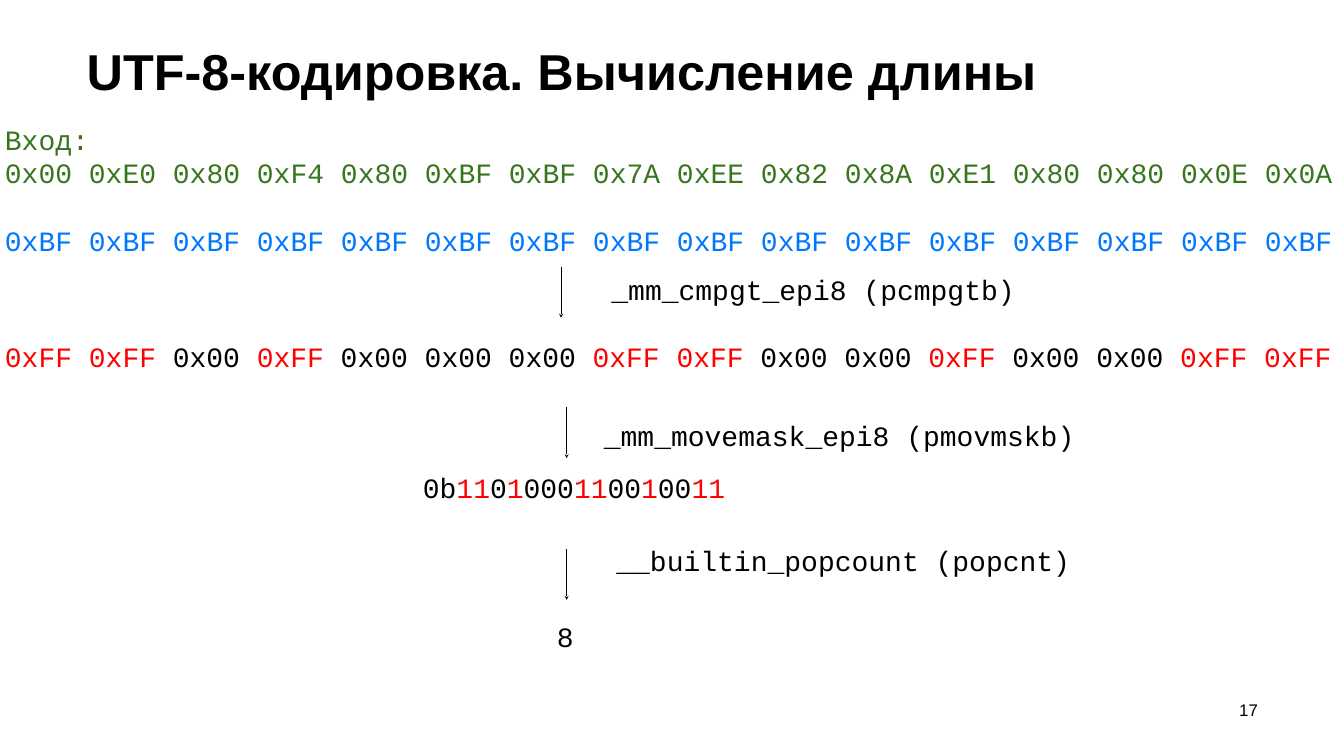
"""Build a slide on computing the length of a UTF-8 string with SIMD instructions."""
import itertools
from dataclasses import dataclass

import lxml.etree
import pptx
import pptx.dml.color
import pptx.enum.shapes
import pptx.enum.text
import pptx.oxml.ns
import pptx.util

Cm = pptx.util.Cm
Pt = pptx.util.Pt
BLACK, RED, GREEN, BLUE = "000000", "FF0000", "38761D", "0077FF"
CODE_FONT, HEADING_FONT = "Courier New", "Arial"
CODE_SIZE = 40
INSET = 0.25
ARROW_LENGTH = 2.57

INPUT_BYTES = "0x00 0xE0 0x80 0xF4 0x80 0xBF 0xBF 0x7A 0xEE 0x82 0x8A 0xE1 0x80 0x80 0x0E 0x0A"
THRESHOLD_BYTES = " ".join(["0xBF"] * 16)
MASK_BITS = "1101000110010011"


@dataclass(frozen=True)
class Span:
    text: str
    color: str = BLACK


@dataclass(frozen=True)
class Line:
    spans: list[Span]
    space_before: float = 0


@dataclass(frozen=True)
class Label:
    left: float
    top: float
    width: float
    height: float
    lines: list[Line]
    font: str = CODE_FONT
    size: float = CODE_SIZE
    bold: bool = False
    insets: tuple[float, float, float, float] = (INSET, INSET, INSET, INSET)
    align: pptx.enum.text.PP_ALIGN = pptx.enum.text.PP_ALIGN.LEFT
    anchor: pptx.enum.text.MSO_ANCHOR = pptx.enum.text.MSO_ANCHOR.TOP


@dataclass(frozen=True)
class Arrow:
    x: float
    top: float


def rgb(color: str) -> pptx.dml.color.RGBColor:
    return pptx.dml.color.RGBColor.from_string(color)


def plain(text: str, color: str = BLACK, space_before: float = 0) -> Line:
    return Line([Span(text, color)], space_before)


def mask_bytes(bits: str) -> Line:
    spans = []
    for bit, group in itertools.groupby(bits):
        count = len(list(group))
        spans.append(Span(" ".join(["0xFF" if bit == "1" else "0x00"] * count), RED if bit == "1" else BLACK))
        spans.append(Span(" "))
    return Line(spans[:-1])


def mask_number(bits: str) -> Line:
    groups = itertools.groupby(bits)
    return Line([Span("0b")] + [Span("".join(group), RED if bit == "1" else BLACK) for bit, group in groups])


def draw_label(slide: pptx.slide.Slide, label: Label) -> None:
    shape = slide.shapes.add_textbox(Cm(label.left), Cm(label.top), Cm(label.width), Cm(label.height))
    frame = shape.text_frame
    frame.word_wrap = True
    frame.vertical_anchor = label.anchor
    frame.margin_left, frame.margin_top, frame.margin_right, frame.margin_bottom = map(Cm, label.insets)
    for index, line in enumerate(label.lines):
        paragraph = frame.add_paragraph() if index else frame.paragraphs[0]
        paragraph.alignment = label.align
        paragraph.space_before = Pt(line.space_before)
        for span in line.spans:
            run = paragraph.add_run()
            run.text = span.text
            run.font.name = label.font
            run.font.size = Pt(label.size)
            run.font.bold = label.bold
            run.font.color.rgb = rgb(span.color)


def draw_arrow(slide: pptx.slide.Slide, arrow: Arrow) -> None:
    connector = slide.shapes.add_connector(
        pptx.enum.shapes.MSO_CONNECTOR.STRAIGHT,
        Cm(arrow.x), Cm(arrow.top), Cm(arrow.x), Cm(arrow.top + ARROW_LENGTH),
    )
    connector.line.color.rgb = rgb(BLACK)
    connector.line.width = Pt(1.5)
    qn = pptx.oxml.ns.qn
    lxml.etree.SubElement(connector.line._get_or_add_ln(), qn("a:tailEnd"), type="stealth")
    lxml.etree.SubElement(connector._element.spPr, qn("a:effectLst"))


LABELS = [
    Label(4.37, 1.47, 58.98, 4.04, [plain("UTF-8-кодировка. Вычисление длины")],
          HEADING_FONT, 72, True, (0, 0.56, 0, 0)),
    Label(60.33, 35.05, 3.05, 1.22, [plain("17")], HEADING_FONT, 24, False, (0, 0.2, 0, 0),
          pptx.enum.text.PP_ALIGN.RIGHT, pptx.enum.text.MSO_ANCHOR.MIDDLE),
    Label(0, 5.92, 68.2, 10.36, [
        plain("Вход:", GREEN), plain(INPUT_BYTES, GREEN), plain(THRESHOLD_BYTES, BLUE, 48)]),
    Label(30.56, 13.46, 21.11, 3.63, [plain("_mm_cmpgt_epi8 (pcmpgtb)")]),
    Label(0, 16.84, 67.5, 3.12, [mask_bytes(MASK_BITS)]),
    Label(30.18, 20.83, 27.08, 3.63, [plain("_mm_movemask_epi8 (pmovmskb)")]),
    Label(21.06, 23.44, 16.87, 4.04, [mask_number(MASK_BITS)]),
    Label(30.81, 27.13, 27.08, 3.63, [plain("__builtin_popcount (popcnt)")]),
    Label(27.81, 30.96, 1.45, 2.57, [plain(str(MASK_BITS.count("1")))]),
]
ARROWS = [Arrow(28.27, 13.44), Arrow(28.55, 20.52), Arrow(28.55, 27.66)]


def main() -> None:
    presentation = pptx.Presentation()
    presentation.slide_width, presentation.slide_height = Cm(67.72), Cm(38.1)
    slide = presentation.slides.add_slide(presentation.slide_layouts[6])
    for label in LABELS:
        draw_label(slide, label)
    for arrow in ARROWS:
        draw_arrow(slide, arrow)
    presentation.save("out.pptx")


if __name__ == "__main__":
    main()
